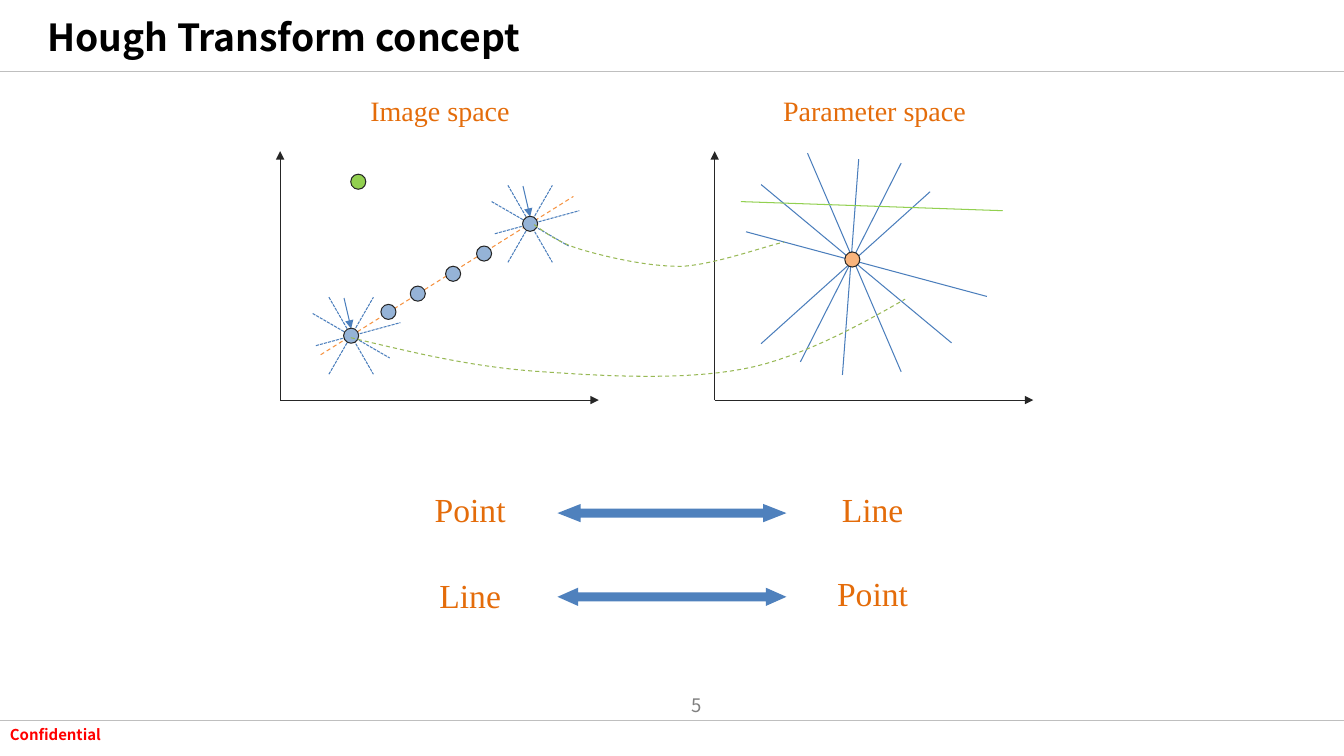
from lxml import etree
from pptx import Presentation
from pptx.dml.color import RGBColor
from pptx.enum.dml import MSO_LINE
from pptx.enum.shapes import MSO_CONNECTOR, MSO_SHAPE
from pptx.enum.text import MSO_ANCHOR, MSO_AUTO_SIZE, PP_ALIGN
from pptx.oxml.ns import qn
from pptx.util import Cm, Pt

STRAIGHT = MSO_CONNECTOR.STRAIGHT
OVAL, DOUBLE_ARROW = MSO_SHAPE.OVAL, MSO_SHAPE.LEFT_RIGHT_ARROW
DASH, SHORT_DASH = MSO_LINE.DASH, MSO_LINE.SQUARE_DOT
TOP, MIDDLE = MSO_ANCHOR.TOP, MSO_ANCHOR.MIDDLE
LEFT, CENTER, RIGHT = PP_ALIGN.LEFT, PP_ALIGN.CENTER, PP_ALIGN.RIGHT

SANS, SERIF = "Noto Sans CJK KR", "Times New Roman"
COLORS = {name: RGBColor.from_string(value) for name, value in {
    "title": "000000", "confidential": "FF0000", "number": "808080",
    "rule": "BFBFBF", "axis": "262626", "label": "E46C0A",
    "ray": "4B7EBC", "fitted line": "F69240", "curve": "98B955",
    "edge point": "95B3D7", "crossing": "F9B47C", "outlier": "92D050",
    "arrow": "4F81BD",
}.items()}

presentation = Presentation()
presentation.slide_width, presentation.slide_height = Cm(33.87), Cm(19.05)
slide = presentation.slides.add_slide(presentation.slide_layouts[5])
shapes = slide.shapes


def write_text(shape, text, box, *, size, color, font=SANS, bold=False,
               align=LEFT, anchor=MIDDLE):
    shape.left, shape.top, shape.width, shape.height = map(Cm, box)
    frame = shape.text_frame
    frame.word_wrap = True
    frame.auto_size = MSO_AUTO_SIZE.NONE
    frame.vertical_anchor = anchor
    paragraph = frame.paragraphs[0]
    paragraph.text = text
    paragraph.alignment = align
    paragraph.font.size = Pt(size)
    paragraph.font.name = font
    paragraph.font.bold = bold
    paragraph.font.color.rgb = COLORS[color]


def add_line(start, end, color, width=0.75, dash=None, arrow=False):
    connector = shapes.add_connector(STRAIGHT, *map(Cm, (*start, *end)))
    connector.line.color.rgb = COLORS[color]
    connector.line.width = Pt(width)
    if dash:
        connector.line.dash_style = dash
    properties = connector.element.spPr
    if arrow:
        etree.SubElement(properties.find(qn("a:ln")), qn("a:tailEnd"), type="triangle")
    etree.SubElement(properties, qn("a:effectLst"))


# Page frame
write_text(shapes.title, "Hough Transform concept", (0.94, 0.41, 20.57, 1.02),
           size=26.6, color="title", bold=True)
write_text(shapes.add_textbox(0, 0, 0, 0), "Confidential", (0, 18.16, 5.82, 0.71),
           size=10.7, color="confidential", bold=True, anchor=TOP)
write_text(shapes.add_textbox(0, 0, 0, 0), "5", (16.05, 17.25, 1.9, 1.02),
           size=13.3, color="number", align=RIGHT)
for rule_top in (1.8, 18.16):
    add_line((0, rule_top), (33.87, rule_top), "rule", width=1)

# Axes of both spaces
AXIS_BOTTOM = 10.08
for axis_left in (7.06, 18.01):
    origin = (axis_left, AXIS_BOTTOM)
    add_line(origin, (axis_left, AXIS_BOTTOM - 6.27), "axis", arrow=True)
    add_line(origin, (axis_left + 8.03, AXIS_BOTTOM), "axis", arrow=True)

# Image space: the fitted line and the candidate lines through its end points
add_line((8.08, 8.94), (14.45, 4.95), "fitted line", dash=DASH)
end_points = [(8.85, 8.46), (13.36, 5.64)]
candidate_offsets = [
    ((-0.97, -0.56), (0.97, 0.56)),
    ((-0.56, 0.97), (0.56, -0.97)),
    ((-0.56, -0.97), (0.56, 0.97)),
    ((-0.89, 0.25), (1.24, -0.33)),
]
for x, y in end_points:
    for (start_x, start_y), (end_x, end_y) in candidate_offsets:
        add_line((x + start_x, y + start_y), (x + end_x, y + end_y), "ray", dash=SHORT_DASH)
    add_line((x - 0.18, y - 0.95), (x, y - 0.18), "ray", arrow=True)

# Parameter space: one line for each image point
parameter_lines = [
    ((20.35, 3.86), (22.71, 9.37)),
    ((21.64, 4.01), (21.23, 9.45)),
    ((22.71, 4.11), (20.17, 9.12)),
    ((23.44, 4.83), (19.18, 8.66)),
    ((19.18, 4.65), (23.98, 8.64)),
    ((18.8, 5.84), (24.87, 7.47)),
]
for start, end in parameter_lines:
    add_line(start, end, "ray")
add_line((18.67, 5.08), (25.27, 5.31), "outlier")

# Points
DIAMETER = 0.38
inner_points = [(9.79, 7.86), (10.53, 7.4), (11.42, 6.9), (12.2, 6.39)]
points = [(center, "edge point") for center in end_points + inner_points]
points += [((9.03, 4.58), "outlier"), ((21.48, 6.54), "crossing")]
for (x, y), color in points:
    point = shapes.add_shape(OVAL, Cm(x - DIAMETER / 2), Cm(y - DIAMETER / 2),
                             Cm(DIAMETER), Cm(DIAMETER))
    point.shadow.inherit = False
    point.fill.solid()
    point.fill.fore_color.rgb = COLORS[color]
    point.line.color.rgb = COLORS["axis"]
    point.line.width = Pt(0.75)

# Curves from image points to their parameter lines, as chained cubic Béziers
STEPS = 16
curves = [
    [(8.84, 8.51), (10.31, 8.86), (11.76, 9.22), (13.41, 9.35), (15.06, 9.47),
     (17.14, 9.6), (18.72, 9.3), (20.29, 9.02), (22.17, 7.9), (22.81, 7.54)],
    [(13.46, 5.66), (13.79, 5.89), (14.12, 6.15), (14.76, 6.32), (15.39, 6.5),
     (16.41, 6.73), (17.22, 6.71), (18.06, 6.65), (19.3, 6.2), (19.76, 6.1)],
]
for controls in curves:
    vertices = []
    for first in range(0, len(controls) - 1, 3):
        segment = controls[first:first + 4]
        for step in range(1, STEPS + 1):
            t = step / STEPS
            weights = ((1 - t) ** 3, 3 * t * (1 - t) ** 2, 3 * t ** 2 * (1 - t), t ** 3)
            vertices.append([Cm(sum(weight * control[axis] for weight, control
                                    in zip(weights, segment))) for axis in (0, 1)])
    builder = shapes.build_freeform(*map(Cm, controls[0]))
    builder.add_line_segments(vertices, close=False)
    curve = builder.convert_to_shape()
    curve.shadow.inherit = False
    curve.fill.background()
    curve.line.color.rgb = COLORS["curve"]
    curve.line.width = Pt(0.75)
    curve.line.dash_style = DASH

# Labels
labels = [
    ("Image space", 7.85, 1.96, 20), ("Parameter space", 18.8, 1.96, 20),
    ("Point", 8.61, 12.01, 24), ("Line", 18.75, 12.01, 24),
    ("Line", 8.61, 14.17, 24), ("Point", 18.75, 14.12, 24),
]
for text, left, top, size in labels:
    write_text(shapes.add_textbox(0, 0, 0, 0), text, (left, top, 6.48, 1.63),
               size=size, color="label", font=SERIF, align=CENTER)

# Duality arrows
for top, head_length in ((12.7, 1.27), (14.81, 1.13)):
    arrow = shapes.add_shape(DOUBLE_ARROW, Cm(14.05), Cm(top), Cm(5.77), Cm(0.46))
    arrow.adjustments[0] = 0.5
    arrow.adjustments[1] = head_length
    arrow.shadow.inherit = False
    arrow.fill.solid()
    arrow.fill.fore_color.rgb = COLORS["arrow"]
    arrow.line.fill.background()

presentation.save("out.pptx")
